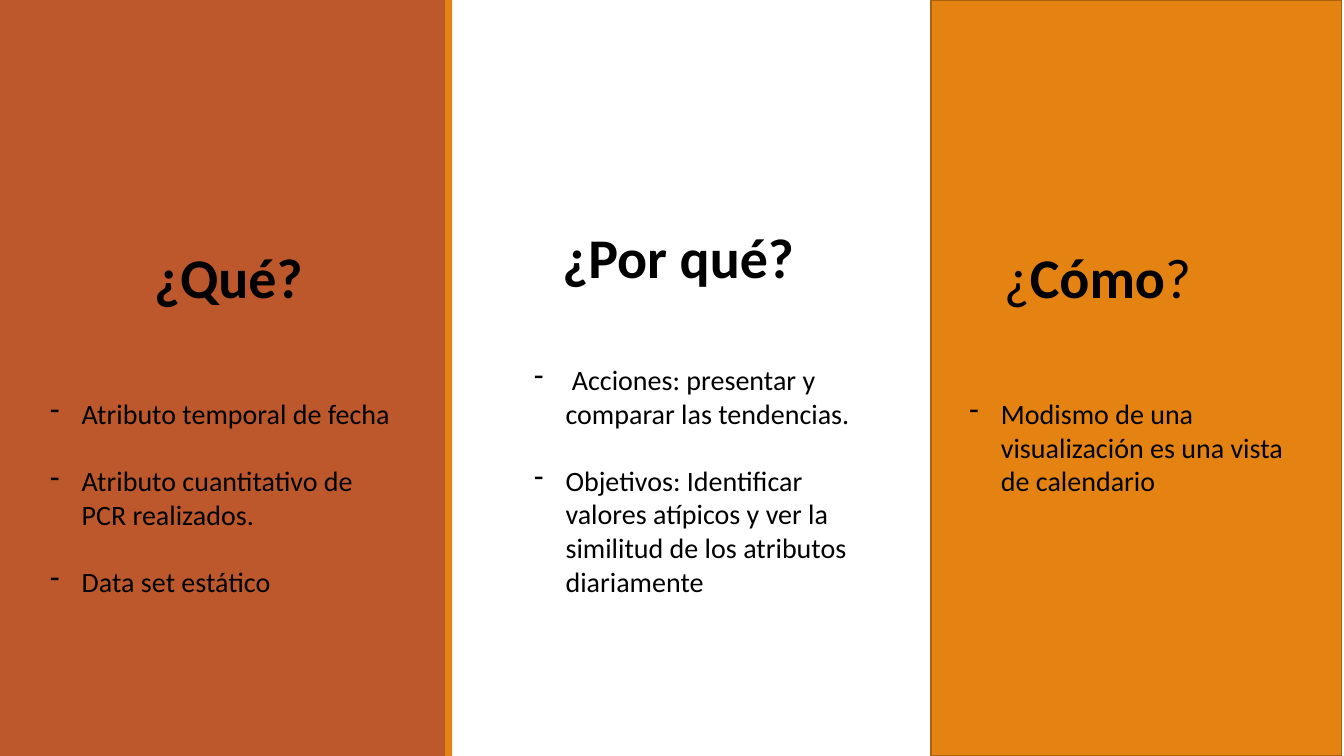
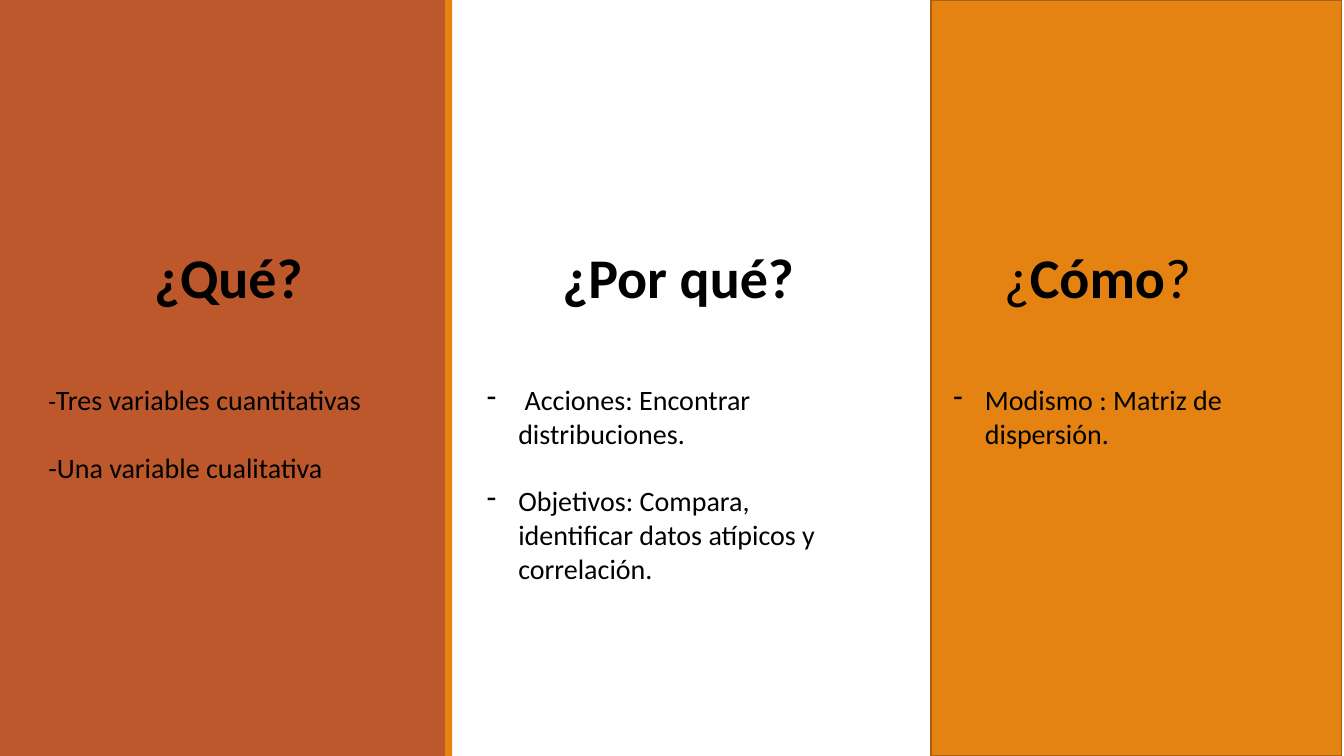
from lxml import etree
from pptx import Presentation
from pptx.dml.color import RGBColor
from pptx.enum.shapes import MSO_SHAPE
from pptx.enum.text import MSO_AUTO_SIZE
from pptx.oxml.ns import qn
from pptx.util import Pt

RECT = MSO_SHAPE.RECTANGLE
FIT = MSO_AUTO_SIZE.SHAPE_TO_FIT_TEXT
W, H = 960, 540
FONT = "Calibri"
RUST, ORANGE, BROWN, BLACK = "BD582C", "E48312", "A9610D", "000000"
TITLE_SIZE, BODY_SIZE, LINE = 40, 20, 24
TITLE_W, TITLE_H, TITLE_Y = 240, 55.4, 170
INDENT = 22.5

BANDS = [(0, 319, RUST, None), (318, 5, ORANGE, None), (665.3, 293, ORANGE, BROWN)]
TITLES = [
    (103, [("¿Qué?", {"bold": True})]),
    (394.6, [("¿Por qué?", {"bold": True})]),
    (710, [("¿", {}), ("Cómo", {"bold": True}), ("?", {})]),
]

SLIDES = [
    {
        "title_tops": [TITLE_Y, 155.6, TITLE_Y],
        "width": 260,
        "columns": [
            (28.8, 279.6, 152.6, True, [
                "Atributo temporal de fecha",
                "Atributo cuantitativo de PCR realizados.",
                "Data set estático",
            ]),
            (374.4, 255.4, 177, True, [
                " Acciones: presentar y comparar las tendencias.",
                "Objetivos: Identificar valores atípicos y ver la similitud "
                "de los atributos diariamente",
            ]),
            (685.4, 279.6, 80, True, [
                "Modismo de una visualización es una vista de calendario",
            ]),
        ],
    },
    {
        "title_tops": [TITLE_Y] * 3,
        "width": 279.4,
        "columns": [
            (27.4, 270, 80, False, [
                [("-", {"size": Pt(18)}), ("Tres variables cuantitativas", {})],
                "-Una variable cualitativa",
            ]),
            (340.6, 270, 152.6, True, [
                " Acciones: Encontrar distribuciones.",
                "Objetivos: Compara, identificar datos atípicos y correlación.",
            ]),
            (673.9, 270, 55.4, True, ["Modismo : Matriz de dispersión."]),
        ],
    },
]


def color(value):
    return RGBColor.from_string(value)


def add_band(s, x, w, fill, line):
    sp = s.shapes.add_shape(RECT, Pt(x), Pt(0), Pt(w), Pt(H))
    sp.shadow.inherit = False
    sp.fill.solid()
    sp.fill.fore_color.rgb = color(fill)
    if line:
        sp.line.color.rgb = color(line)
        sp.line.width = Pt(1.25)
    else:
        sp.line.fill.background()


def add_text_box(s, x, y, w, h):
    tf = s.shapes.add_textbox(Pt(x), Pt(y), Pt(w), Pt(h)).text_frame
    tf.word_wrap = True
    tf.auto_size = FIT
    return tf


def add_runs(p, runs, size):
    for text, changes in runs:
        r = p.add_run()
        r.text = text
        r.font.color.rgb = color(BLACK)
        for name, value in {"name": FONT, "size": Pt(size), **changes}.items():
            setattr(r.font, name, value)


def add_dash(p):
    pPr = p._p.get_or_add_pPr()
    pPr.set("marL", str(Pt(INDENT)))
    pPr.set("indent", str(Pt(-INDENT)))
    etree.SubElement(pPr, qn("a:buChar"), char="-")


def add_title(s, x, y, runs):
    tf = add_text_box(s, x, y, TITLE_W, TITLE_H)
    add_runs(tf.paragraphs[0], runs, TITLE_SIZE)


def add_column(s, x, y, w, h, dashed, items):
    tf = add_text_box(s, x, y, w, h)
    for i, item in enumerate(items):
        p = tf.add_paragraph() if i else tf.paragraphs[0]
        if i:
            p.space_before = Pt(LINE)
        if dashed:
            add_dash(p)
        runs = [(item, {})] if isinstance(item, str) else item
        add_runs(p, runs, BODY_SIZE)


def add_slide(prs, content):
    s = prs.slides.add_slide(prs.slide_layouts[6])
    for band in BANDS:
        add_band(s, *band)
    for (x, runs), y in zip(TITLES, content["title_tops"]):
        add_title(s, x, y, runs)
    for x, y, h, dashed, items in content["columns"]:
        add_column(s, x, y, content["width"], h, dashed, items)


def main():
    prs = Presentation()
    prs.slide_width, prs.slide_height = Pt(W), Pt(H)
    for content in SLIDES:
        add_slide(prs, content)
    prs.save("out.pptx")


if __name__ == "__main__":
    main()
